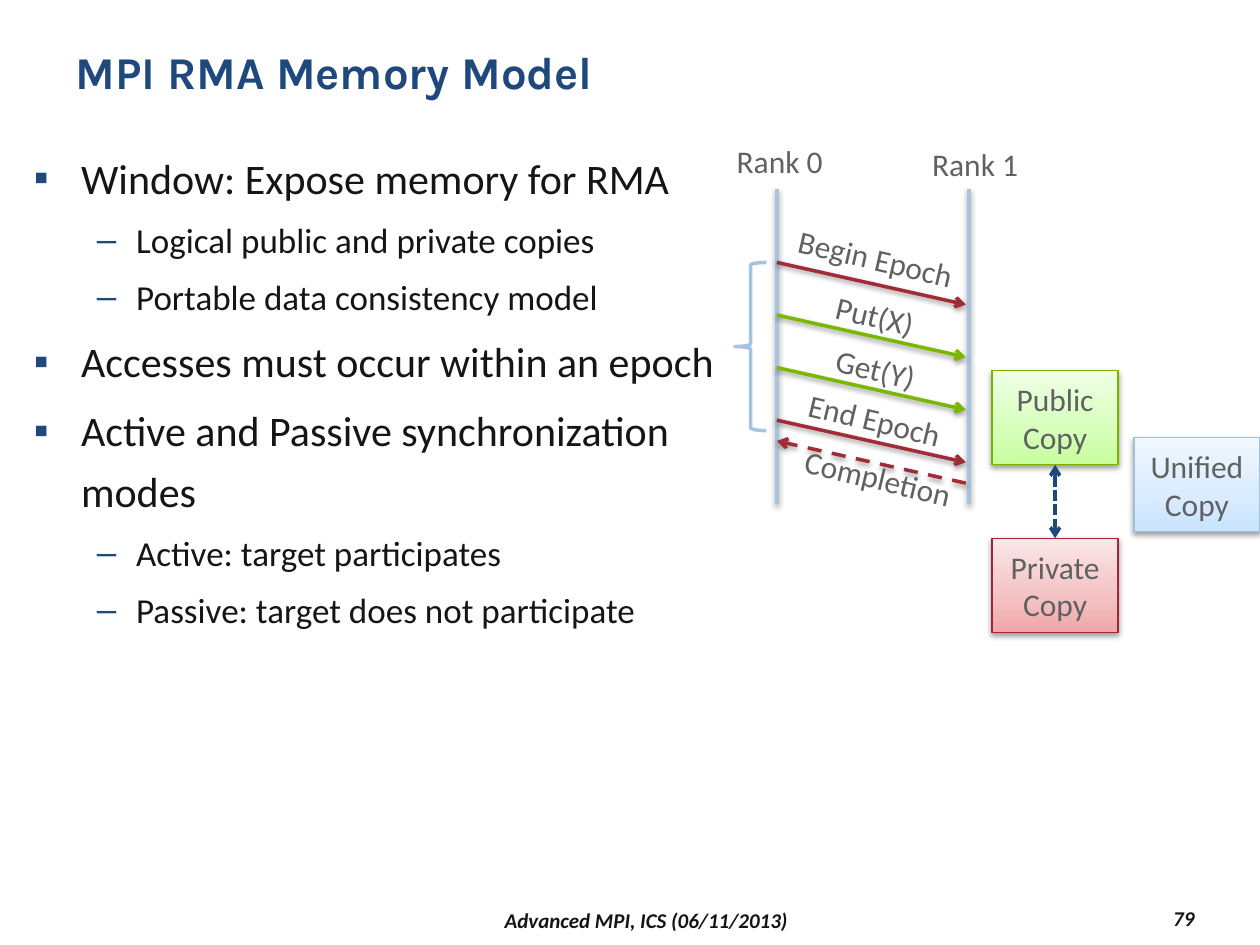
from pptx import Presentation
from pptx import oxml
from pptx.dml.color import RGBColor
from pptx.enum import dml, shapes, text
from pptx.oxml import ns
from pptx.util import Cm, Pt

COLORS = {
    "navy": "1F497D", "ink": "151515", "grey": "616161", "white": "FFFFFF",
    "rank": "A6C4DE", "sync": "A22B38", "access": "7AB800",
}
# Outline, then the gradient from bottom to top
COPIES = {
    "Public": ("77B400", ["C6FF9D", "D6FFBA", "EFFFE5"]),
    "Private": ("A12734", ["F0A5A8", "F3C1C3", "FBE6E7"]),
    "Unified": ("A1C0DA", ["C9E4FF", "D8EBFF", "F0F7FF"]),
}
LABEL = {"name": "Calibri", "size": Pt(18), "bold": False}
FOOTER = {"name": "Calibri", "size": Pt(12), "bold": True, "italic": True}
POINTS = [
    (0, "Window: Expose memory for RMA"),
    (1, "Logical public and private copies"),
    (1, "Portable data consistency model"),
    (0, "Accesses must occur within an epoch"),
    (0, "Active and Passive synchronization modes"),
    (1, "Active: target participates"),
    (1, "Passive: target does not participate"),
]
# Bullet, left margin, hanging indent, text size by level
LEVELS = [("▪", 0.95, 0.95, 24), ("–", 2.06, 0.79, 20)]


def rgb(name):
    return RGBColor.from_string(COLORS.get(name, name))


def element(xml):
    return oxml.parse_xml(xml.replace("@", ns.nsdecls("a"), 1))


def write(paragraph, wording, color, formats):
    run = paragraph.add_run()
    run.text = wording
    for key, value in formats.items():
        setattr(run.font, key, value)
    run.font.color.rgb = rgb(color)


def place(item, left, top, width, height):
    for key, value in zip(("left", "top", "width", "height"), (left, top, width, height)):
        setattr(item, key, Cm(value))


def set_frame(frame, **settings):
    for key, value in settings.items():
        setattr(frame, key, value)


def add_effects(item, shadow):
    shade = ('<a:outerShdw blurRad="40000" dist="20000" dir="5400000" rotWithShape="0">'
             '<a:srgbClr val="000000"><a:alpha val="38000"/></a:srgbClr></a:outerShdw>')
    item._element.spPr.append(element(f"<a:effectLst @>{shade if shadow else ''}</a:effectLst>"))


def add_line(slide, start, end, color, dash=None, ends=(), shadow=True):
    line = slide.shapes.add_connector(
        shapes.MSO_CONNECTOR.STRAIGHT, *(Cm(v) for v in (*start, *end)))
    line.line.color.rgb = rgb(color)
    line.line.width = Pt(2)
    if dash:
        line.line.dash_style = dash
    for end_name in ends:
        line.line._get_or_add_ln().append(element(f'<a:{end_name} @ type="arrow"/>'))
    add_effects(line, shadow)
    return line


def add_label(slide, wording, box, color="grey", formats=LABEL, angle=0, align=None, **settings):
    label = slide.shapes.add_textbox(*(Cm(v) for v in box))
    label.rotation = angle
    set_frame(label.text_frame, **{"word_wrap": True, **settings})
    paragraph = label.text_frame.paragraphs[0]
    paragraph.alignment = align
    write(paragraph, wording, color, formats)


def fill_title(slide, box):
    title = slide.shapes.title
    place(title, *box)
    set_frame(title.text_frame, vertical_anchor=text.MSO_ANCHOR.TOP,
              auto_size=text.MSO_AUTO_SIZE.NONE)
    paragraph = title.text_frame.paragraphs[0]
    paragraph.alignment = text.PP_ALIGN.LEFT
    write(paragraph, "MPI RMA Memory Model", "navy",
          {"name": "Karla", "size": Pt(26), "bold": True})


def fill_points(slide, box):
    body = slide.placeholders[1]
    place(body, *box)
    frame = body.text_frame
    set_frame(frame, auto_size=text.MSO_AUTO_SIZE.NONE, vertical_anchor=text.MSO_ANCHOR.TOP)
    for index, (level, wording) in enumerate(POINTS):
        bullet, margin, hang, size = LEVELS[level]
        paragraph = frame.add_paragraph() if index else frame.paragraphs[0]
        paragraph.level = level
        paragraph.line_spacing = 1.2
        paragraph.space_before = Pt(size * 0.2 if index else 0)
        props = paragraph._p.get_or_add_pPr()
        props.set("marL", str(Cm(margin)))
        props.set("indent", str(-Cm(hang)))
        props.append(element(f'<a:buClr @><a:srgbClr val="{COLORS["navy"]}"/></a:buClr>'))
        props.append(element(f'<a:buChar @ char="{bullet}"/>'))
        write(paragraph, wording, "ink", {"name": "Calibri", "size": Pt(size)})


def draw_epoch(slide, left, top):
    """Two rank timelines with the messages of one epoch between them."""
    origin, target, tip = left + 1.06, left + 4.93, left + 4.87
    first, step, drop = top + 2.55, 1.06, 0.85

    # Timelines
    for rank, (x, label_x, label_y) in enumerate([(origin, 0, 0), (target, 3.94, 0.05)]):
        add_line(slide, (x, top + 1.07), (x, top + 7.42), "rank")
        add_label(slide, f"Rank {rank}", (left + label_x, top + label_y, 2.26, 1.02),
                  word_wrap=False)

    # Messages to the target
    for row, color in enumerate(["sync", "access", "access", "sync"]):
        y = first + row * step
        add_line(slide, (origin, y), (tip, y + drop), color, ends=["tailEnd"])

    # Completion message back to the origin
    add_line(slide, (tip, top + 7), (origin, top + 6.15), "sync",
             dash=dml.MSO_LINE.DASH, ends=["tailEnd"])

    # Message names along the arrows
    for wording, x, y, width, angle in [
        ("Begin Epoch", 1.22, 1.96, 3.71, 13.1),
        ("Put(X)", 1.99, 3.15, 2.44, 13.4),
        ("Get(Y)", 1.99, 4.22, 2.44, 13.4),
        ("End Epoch", 1.43, 5.24, 3.48, 13.4),
        ("Completion", 1.35, 6.4, 3.68, 13.4),
    ]:
        add_label(slide, wording, (left + x, top + y, width, 1.02), angle=angle)

    # Brace around the epoch
    brace = slide.shapes.add_shape(shapes.MSO_SHAPE.RIGHT_BRACE, Cm(left + 0.21), Cm(first),
                                   Cm(0.64), Cm(3.39))
    brace.rotation = 180
    brace.fill.solid()
    brace.fill.fore_color.rgb = rgb("white")
    brace.line.color.rgb = rgb("rank")
    brace.line.width = Pt(2)
    brace.shadow.inherit = False


def add_copy(slide, kind, left, top):
    outline, stops = COPIES[kind]
    copy_box = slide.shapes.add_shape(shapes.MSO_SHAPE.RECTANGLE, Cm(left), Cm(top),
                                      Cm(2.54), Cm(1.9))
    copy_box.fill.background()
    props = copy_box._element.spPr
    stop_xml = "".join(f'<a:gs pos="{pos}000"><a:srgbClr val="{stop}"/></a:gs>'
                       for pos, stop in zip((0, 35, 100), stops))
    props.replace(props.find(ns.qn("a:noFill")), element(
        f'<a:gradFill @ rotWithShape="1"><a:gsLst>{stop_xml}</a:gsLst>'
        '<a:lin ang="16200000" scaled="1"/></a:gradFill>'))
    copy_box.line.color.rgb = rgb(outline)
    copy_box.line.width = Pt(0.75)
    add_effects(copy_box, True)
    frame = copy_box.text_frame
    set_frame(frame, word_wrap=True, vertical_anchor=text.MSO_ANCHOR.MIDDLE)
    for paragraph, wording in zip((frame.paragraphs[0], frame.add_paragraph()), (kind, "Copy")):
        paragraph.alignment = text.PP_ALIGN.CENTER
        write(paragraph, wording, "grey", LABEL)
    return copy_box


def draw_copies(slide, left, top):
    """Public and private copies, and the unified copy beside them."""
    public = add_copy(slide, "Public", left, top)
    private = add_copy(slide, "Private", left, top + 3.38)
    sync = add_line(slide, (left + 1.27, top + 1.9), (left + 1.27, top + 3.38), "navy",
                    dash=dml.MSO_LINE.SQUARE_DOT, ends=["headEnd", "tailEnd"], shadow=False)
    sync.begin_connect(public, 2)
    sync.end_connect(private, 0)
    add_copy(slide, "Unified", left + 2.86, top + 1.35)


def add_footer(slide, top):
    for wording, x, y, width, align in [
        ("Advanced MPI, ICS (06/11/2013)", 5.51, 0.05, 15.04, text.PP_ALIGN.CENTER),
        ("79", 21.59, 0, 2.74, text.PP_ALIGN.RIGHT),
    ]:
        add_label(slide, wording, (x, top + y, width, 0.69), "ink", FOOTER, align=align,
                  vertical_anchor=text.MSO_ANCHOR.MIDDLE)


def main():
    deck = Presentation()
    deck.slide_width, deck.slide_height = Cm(25.4), Cm(19.05)
    slide = deck.slides.add_slide(deck.slide_layouts[1])
    fill_title(slide, (1.27, 0.76, 22.86, 2.21))
    fill_points(slide, (0.43, 2.74, 15.24, 14.27))
    draw_epoch(slide, 14.6, 2.74)
    draw_copies(slide, 20, 7.47)
    add_footer(slide, 18.16)
    deck.save("out.pptx")


if __name__ == "__main__":
    main()
